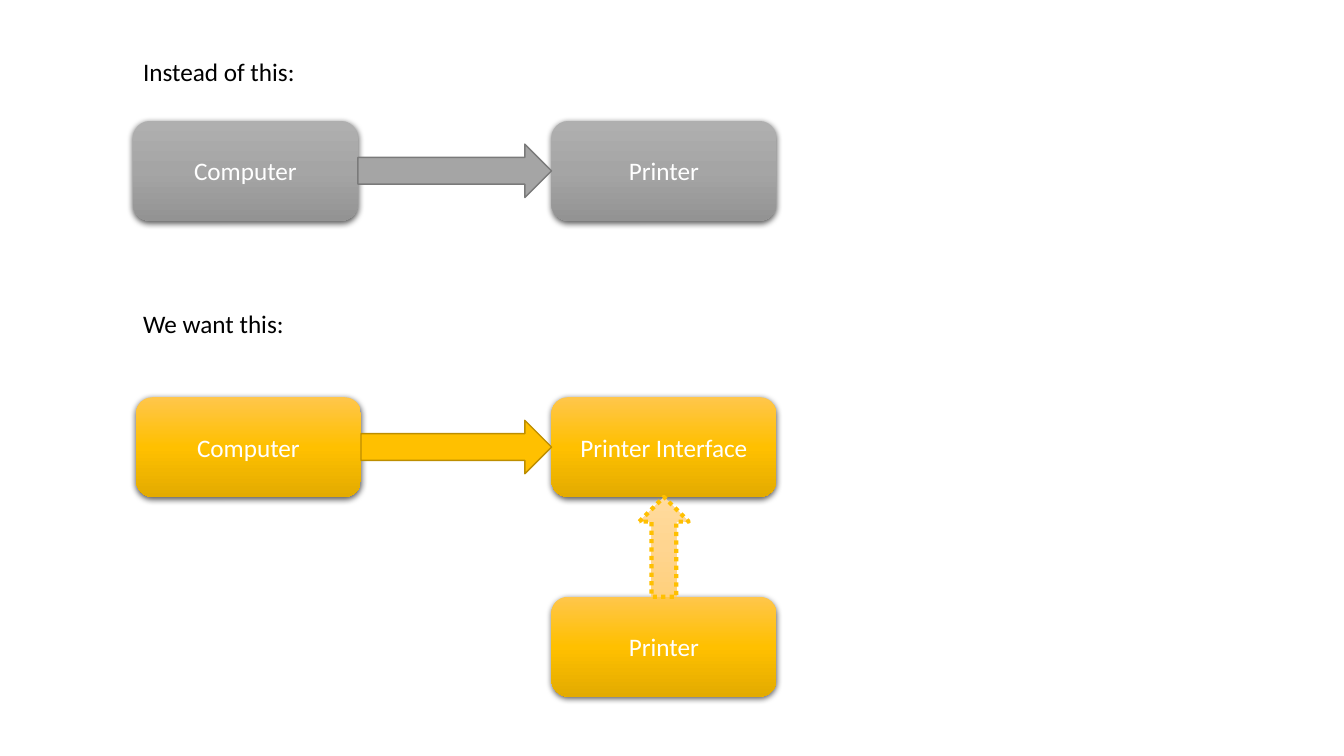
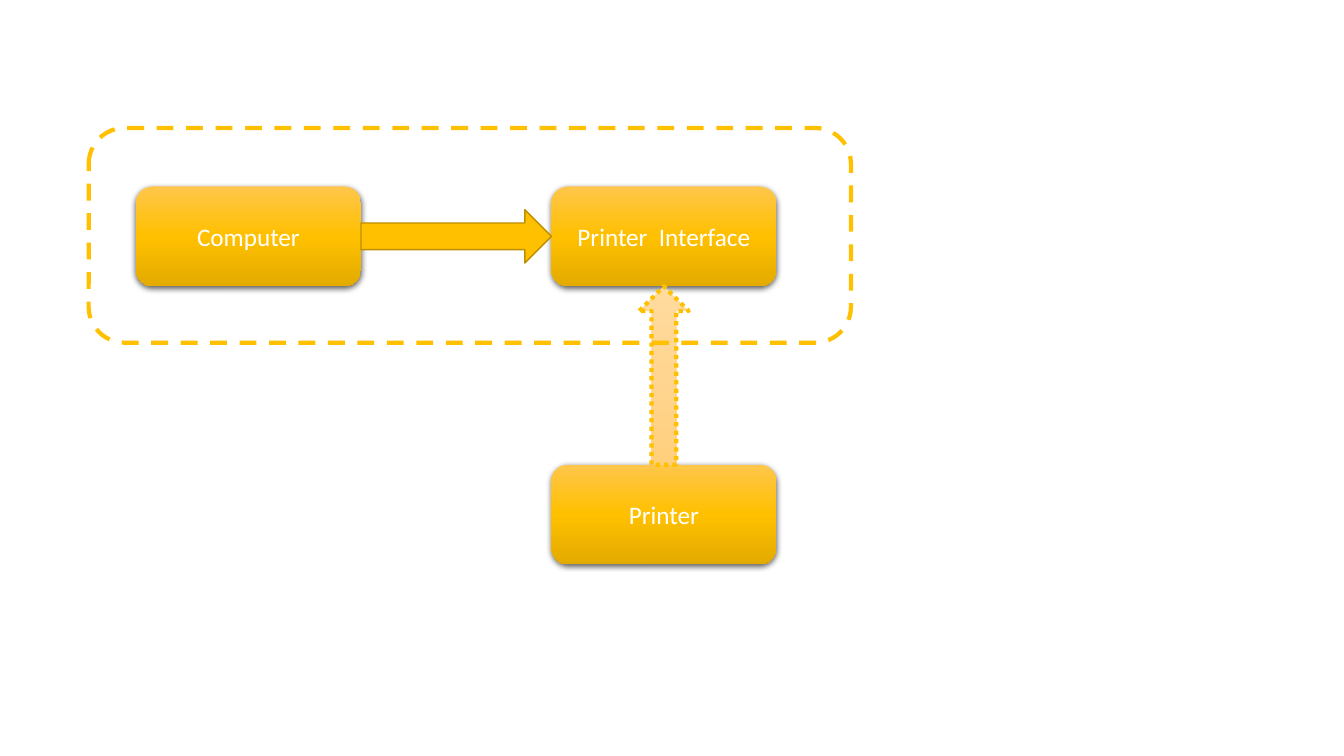
from dataclasses import dataclass

import lxml.etree
import pptx
import pptx.dml.color
import pptx.enum.dml
import pptx.enum.shapes
import pptx.enum.text
import pptx.oxml.ns
import pptx.util

Inches = pptx.util.Inches
Pt = pptx.util.Pt
MSO_SHAPE = pptx.enum.shapes.MSO_SHAPE
DASH = pptx.enum.dml.MSO_LINE
qn = pptx.oxml.ns.qn

COLORS = {
    "text": "000000",
    "box_text": "FFFFFF",
    "shadow": "000000",
    "gray": "A5A5A5",
    "gray_edge": "7A7A7A",
    "gold": "FFC000",
    "gold_edge": "BD8E00",
}
# Top, middle and bottom colours of each vertical gradient
GRADIENTS = {
    "gray": ("AFAFAF", "A5A5A5", "939393"),
    "gold": ("FFC64B", "FFC000", "E3AB00"),
    "pale": ("FFDB9E", "FFD590", "FFD07C"),
}
BOX_W, BOX_H = 2.23, 0.99
LEFT_X, RIGHT_X = 1.35, 5.47
ARROW_H, UP_ARROW_W = 0.53, 0.49


@dataclass(frozen=True)
class Box:
    label: str
    left: float
    top: float
    theme: str = "gold"

    @property
    def right(self) -> float:
        return self.left + BOX_W

    @property
    def bottom(self) -> float:
        return self.top + BOX_H


@dataclass(frozen=True)
class Caption:
    text: str
    top: float


def rgb(name: str) -> pptx.dml.color.RGBColor:
    return pptx.dml.color.RGBColor.from_string(COLORS[name])


def add_shape(slide, kind, left: float, top: float, width: float, height: float):
    shape = slide.shapes.add_shape(
        kind, Inches(left), Inches(top), Inches(width), Inches(height))
    shape.shadow.inherit = False
    return shape


def set_gradient(shape, theme: str) -> None:
    shape.fill.gradient()
    shape.fill.gradient_angle = 270
    stops = shape._element.spPr.find(qn("a:gradFill")).find(qn("a:gsLst"))
    for old_stop in list(stops):
        stops.remove(old_stop)
    for position, color in zip((0, 50000, 100000), GRADIENTS[theme]):
        stop = lxml.etree.SubElement(stops, qn("a:gs"), pos=str(position))
        lxml.etree.SubElement(stop, qn("a:srgbClr"), val=color)


def set_line(shape, color: str, width: float, dash=None) -> None:
    line_format = {"width": Pt(width), "dash_style": dash}
    shape.line.color.rgb = rgb(color)
    for name, value in line_format.items():
        setattr(shape.line, name, value)


def add_soft_shadow(shape) -> None:
    effects = shape._element.spPr.find(qn("a:effectLst"))
    shadow = lxml.etree.SubElement(
        effects, qn("a:outerShdw"), blurRad=str(Pt(4.5)), dist=str(Pt(1.5)),
        dir="5400000", algn="ctr", rotWithShape="0")
    color = lxml.etree.SubElement(shadow, qn("a:srgbClr"), val=COLORS["shadow"])
    lxml.etree.SubElement(color, qn("a:alpha"), val="63000")


def write(frame, text: str, color: str) -> None:
    frame.word_wrap = True
    run = frame.paragraphs[0].add_run()
    run.text = text
    for name, value in {"name": "Calibri", "size": Pt(18)}.items():
        setattr(run.font, name, value)
    run.font.color.rgb = rgb(color)


def draw_box(slide, box: Box) -> None:
    shape = add_shape(slide, MSO_SHAPE.ROUNDED_RECTANGLE,
                      box.left, box.top, BOX_W, BOX_H)
    set_gradient(shape, box.theme)
    shape.line.fill.background()
    add_soft_shadow(shape)
    frame = shape.text_frame
    frame.vertical_anchor = pptx.enum.text.MSO_ANCHOR.MIDDLE
    frame.paragraphs[0].alignment = pptx.enum.text.PP_ALIGN.CENTER
    write(frame, box.label, "box_text")


def draw_use_arrow(slide, user: Box, used: Box) -> None:
    """Solid arrow across the gap between two boxes in a row."""
    arrow = add_shape(slide, MSO_SHAPE.RIGHT_ARROW, user.right,
                      user.top + (BOX_H - ARROW_H) / 2,
                      used.left - user.right, ARROW_H)
    arrow.fill.solid()
    arrow.fill.fore_color.rgb = rgb(user.theme)
    set_line(arrow, user.theme + "_edge", 1)


def draw_implements_arrow(slide, lower: Box, upper: Box) -> None:
    """Dotted arrow up from a box to the one above it."""
    arrow = add_shape(slide, MSO_SHAPE.UP_ARROW,
                      upper.left + (BOX_W - UP_ARROW_W) / 2, upper.bottom,
                      UP_ARROW_W, lower.top - upper.bottom)
    set_gradient(arrow, "pale")
    set_line(arrow, "gold", 3, DASH.ROUND_DOT)


def draw_interface_diagram(slide, top: float, printer_top: float,
                           interface_label: str) -> None:
    computer = Box("Computer", LEFT_X, top)
    printer = Box("Printer", RIGHT_X, printer_top)
    interface = Box(interface_label, RIGHT_X, top)
    for box in (computer, printer, interface):
        draw_box(slide, box)
    draw_use_arrow(slide, computer, interface)
    draw_implements_arrow(slide, printer, interface)


def draw_caption(slide, caption: Caption) -> None:
    holder = slide.shapes.add_textbox(
        Inches(1.32), Inches(caption.top), Inches(6.09), Inches(0.4))
    write(holder.text_frame, caption.text, "text")


def build_comparison(slide) -> None:
    # Direct dependency
    computer = Box("Computer", 1.32, 1.2, "gray")
    printer = Box("Printer", RIGHT_X, 1.2, "gray")
    for box in (computer, printer):
        draw_box(slide, box)
    draw_use_arrow(slide, computer, printer)

    # Dependency on an interface
    draw_interface_diagram(slide, 3.94, 5.92, "Printer Interface")

    for caption in (Caption("Instead of this:", 0.51),
                    Caption("We want this:", 3.01)):
        draw_caption(slide, caption)


def build_boundary(slide) -> None:
    draw_interface_diagram(slide, 1.85, 4.61, "Printer  Interface")

    # Dashed boundary around the computer and its interface
    boundary = add_shape(slide, MSO_SHAPE.ROUNDED_RECTANGLE,
                         0.88, 1.27, 7.56, 2.13)
    boundary.fill.background()
    set_line(boundary, "gold", 3, DASH.DASH)


def main() -> None:
    deck = pptx.Presentation()
    deck.slide_width, deck.slide_height = Inches(13.33), Inches(7.5)
    blank_layout = deck.slide_layouts[6]
    for build in (build_comparison, build_boundary):
        build(deck.slides.add_slide(blank_layout))
    deck.save("out.pptx")


if __name__ == "__main__":
    main()
